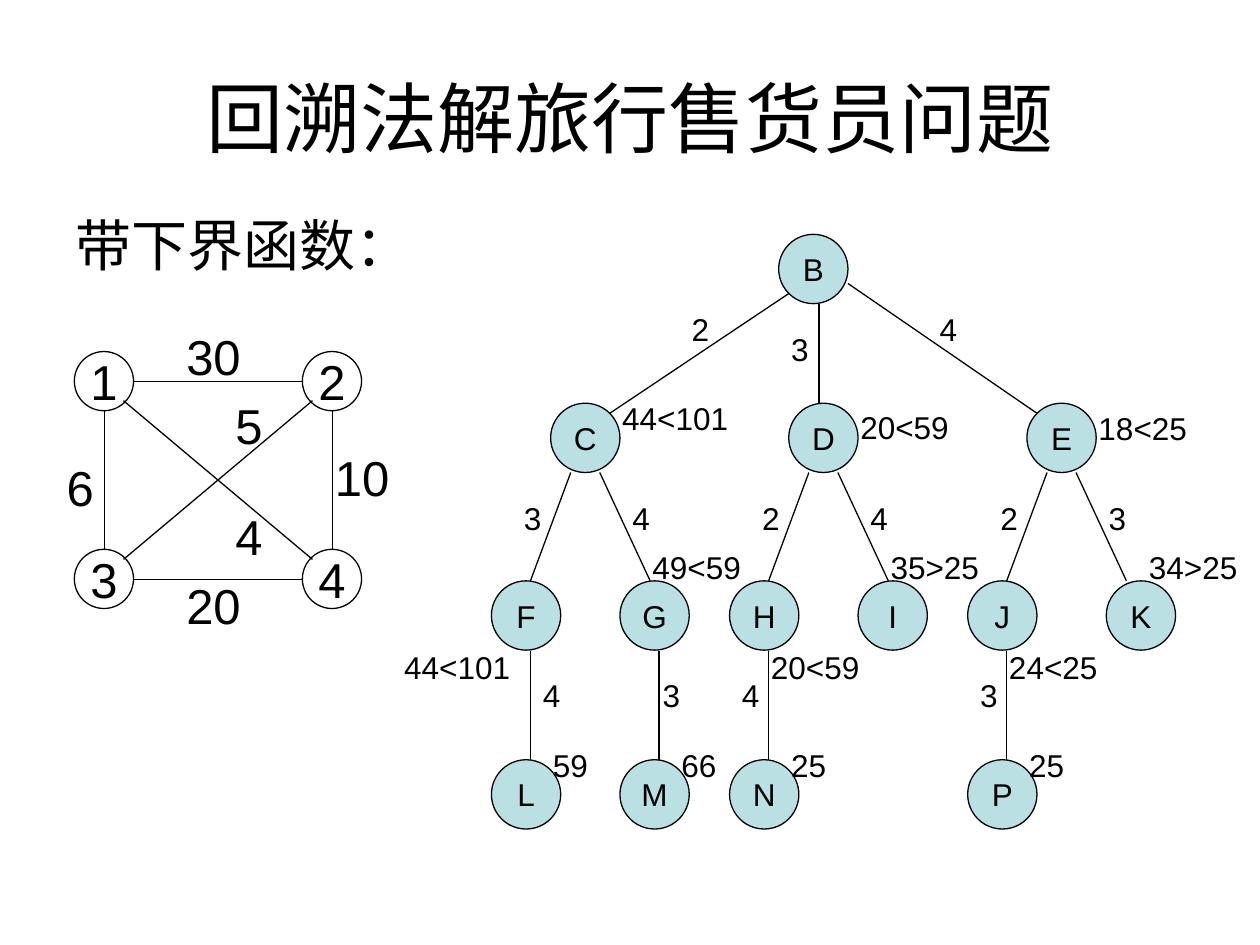
from lxml import etree
from pptx import Presentation
from pptx.dml.color import RGBColor
from pptx.enum.shapes import MSO_CONNECTOR, MSO_SHAPE
from pptx.enum.text import MSO_ANCHOR, MSO_AUTO_SIZE, PP_ALIGN
from pptx.oxml.ns import qn
from pptx.util import Inches, Pt

STRAIGHT = MSO_CONNECTOR.STRAIGHT
OVAL = MSO_SHAPE.OVAL
TOP, MIDDLE = MSO_ANCHOR.TOP, MSO_ANCHOR.MIDDLE
LEFT, CENTER = PP_ALIGN.LEFT, PP_ALIGN.CENTER
NO_AUTOFIT = MSO_AUTO_SIZE.NONE

COLORS = {"ink": "000000", "node": "BBE0E3"}
INK = RGBColor.from_string(COLORS["ink"])
LINE_WIDTH = Pt(0.75)


def write_text(box, text, size, align=LEFT, anchor=TOP, wrap=True):
    frame = box.text_frame
    frame_format = {"auto_size": NO_AUTOFIT, "word_wrap": wrap, "vertical_anchor": anchor}
    for name, value in frame_format.items():
        setattr(frame, name, value)
    para = frame.paragraphs[0]
    para.alignment = align
    para.space_before = Pt(0)
    span = para.add_run()
    span.text = text
    for name, value in {"name": "Arial", "size": Pt(size)}.items():
        setattr(span.font, name, value)
    span.font.color.rgb = INK
    return para


def place(box, left, top, width, height):
    position = {"left": left, "top": top, "width": width, "height": height}
    for name, value in position.items():
        setattr(box, name, Inches(value))


deck = Presentation()
deck.slide_width, deck.slide_height = Inches(10), Inches(7.5)
page = deck.slides.add_slide(deck.slide_layouts[1])

# Title and subtitle line
title, body = page.placeholders
place(title, 0.5, 0.3, 9, 1.25)
write_text(title, "回溯法解旅行售货员问题", 44, CENTER, MIDDLE)
place(body, 0.5, 1.62, 9, 0.74)
para = write_text(body, "带下界函数：", 32)
properties = para._p.get_or_add_pPr()
properties.set("marL", str(Inches(0.38)))
properties.set("indent", str(-Inches(0.38)))
etree.SubElement(properties, qn("a:buNone"))

# Weighted graph: nodes (name, x, y, diameter, size, fill), edges, labels (text, x, y, w, h, size)
nodes = [(name, x, y, 0.47, 28, None)
         for name, x, y in [("1", 0.59, 2.79), ("2", 2.4, 2.79),
                            ("3", 0.59, 4.36), ("4", 2.4, 4.36)]]
edges = [(1.06, 3.03, 2.4, 3.03), (1.06, 4.6, 2.4, 4.6),
         (0.83, 3.26, 0.83, 4.36), (2.64, 3.26, 2.64, 4.36),
         (0.98, 3.18, 2.48, 4.44), (0.98, 4.44, 2.48, 3.18)]
labels = [(text, x, y, width, 0.57, 28)
          for text, x, y, width in [("30", 1.38, 2.54, 0.79), ("20", 1.38, 4.52, 0.79),
                                    ("10", 2.56, 3.5, 0.79), ("6", 0.43, 3.58, 0.39),
                                    ("5", 1.77, 3.09, 0.47), ("4", 1.77, 3.97, 0.39)]]

# Search tree: root and its three branches
ROWS = [1.86, 3.2, 4.61, 6.03]
NODE_SIZE = 0.55
tree_nodes = [("B", 6.18, ROWS[0])]
edges += [(6.26, 2.33, 4.84, 3.28), (6.5, 2.41, 6.5, 3.2), (6.73, 2.25, 8.23, 3.28)]
weights = [("2", 5.39, 2.41), ("3", 6.18, 2.57), ("4", 7.36, 2.41)]
bounds, costs = [], []

# Subtrees: names, weights of both children, bound, bound height, right bound, right child offset
subtrees = [("CFG", "34", "44<101", 3.12, "49<59", 0.55),
            ("DHI", "24", "20<59", 3.19, "35>25", 0.55),
            ("EJK", "23", "18<25", 3.2, "34>25", 0.63)]
for index, (names, pair, bound, bound_y, right_bound, right_step) in enumerate(subtrees):
    x = 4.37 + 1.89 * index
    right = x + right_step
    tree_nodes += zip(names, (x, x - 0.47, right), (ROWS[1], ROWS[2], ROWS[2]))
    edges += [(x + 0.16, 3.75, x - 0.16, ROWS[2]), (x + 0.39, 3.75, x + 0.79, ROWS[2])]
    weights += [(pair[0], x - 0.31, 3.91), (pair[1], x + 0.55, 3.91)]
    bounds += [(bound, x + 0.47, bound_y), (right_bound, right + (0.16 if index < 2 else 0.24), 4.3)]

# Leaves: name, x, weight, weight offset, cost
for name, x, weight, offset, cost in [("L", 3.9, "4", 0.31, "59"), ("M", 4.92, "3", 0.24, "66"),
                                      ("N", 5.79, "4", 0, "25"), ("P", 7.68, "3", 0, "25")]:
    tree_nodes.append((name, x, ROWS[3]))
    edges.append((x + 0.31, 5.17, x + 0.31, ROWS[3]))
    weights.append((weight, x + offset, 5.32))
    costs.append((cost, x + 0.39, 5.87))
bounds += [("44<101", 3.11, 5.09), ("20<59", 6.02, 5.09), ("24<25", 7.91, 5.09)]

nodes += [(*node, NODE_SIZE, 18, COLORS["node"]) for node in tree_nodes]
for group, width in ((weights, 0.39), (costs, 0.55), (bounds, 1.1)):
    labels += [(*label, width, 0.4, 18) for label in group]

# Draw nodes
for name, x, y, diameter, size, fill in nodes:
    circle = page.shapes.add_shape(OVAL, Inches(x), Inches(y), Inches(diameter), Inches(diameter))
    circle.shadow.inherit = False
    if fill:
        circle.fill.solid()
        circle.fill.fore_color.rgb = RGBColor.from_string(fill)
    else:
        circle.fill.background()
    circle.line.color.rgb = INK
    circle.line.width = LINE_WIDTH
    write_text(circle, name, size, CENTER, MIDDLE, wrap=False)

# Draw edges
for edge in edges:
    connector = page.shapes.add_connector(STRAIGHT, *map(Inches, edge))
    connector.line.color.rgb = INK
    connector.line.width = LINE_WIDTH
    etree.SubElement(connector._element.spPr, qn("a:effectLst"))

# Draw labels
for text, x, y, width, height, size in labels:
    box = page.shapes.add_textbox(Inches(x), Inches(y), Inches(width), Inches(height))
    write_text(box, text, size)

deck.save("out.pptx")
